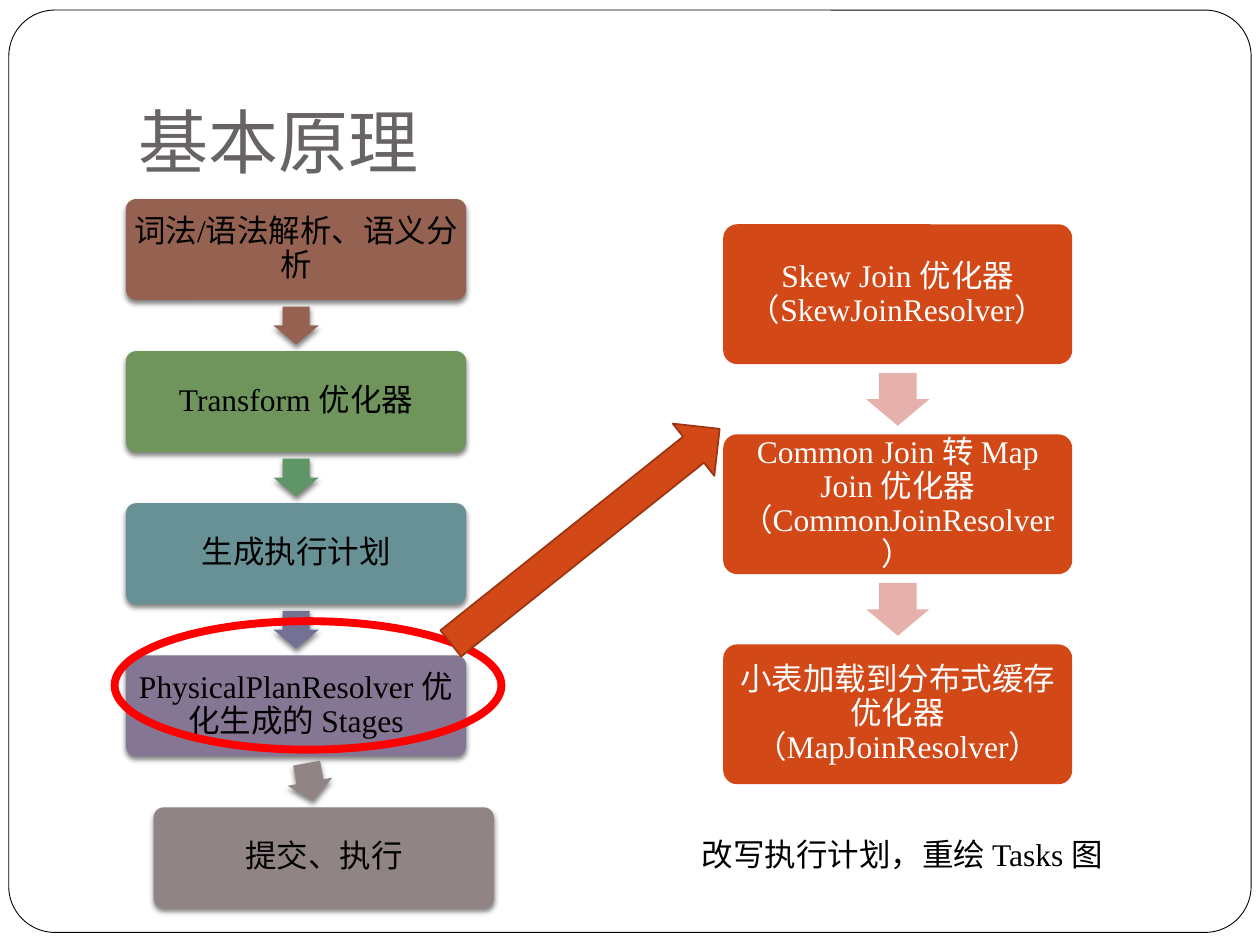
from math import atan2, degrees

from lxml import etree
from pptx import Presentation, util as u
from pptx.dml.color import RGBColor
from pptx.enum import shapes, text
from pptx.oxml.ns import qn

BLACK = RGBColor(0, 0, 0)
WHITE = RGBColor(255, 255, 255)
GRAY = RGBColor(0x69, 0x64, 0x64)
RED = RGBColor(255, 0, 0)
ORANGE = RGBColor(0xD3, 0x48, 0x17)
RUST = RGBColor(0x9C, 0x35, 0x11)
PINK = RGBColor(0xE6, 0xB1, 0xAC)
BROWN = RGBColor(0x95, 0x62, 0x51)
GREEN = RGBColor(0x6F, 0x95, 0x5C)
JADE = RGBColor(0x60, 0x95, 0x68)
TEAL = RGBColor(0x68, 0x91, 0x95)
SLATE = RGBColor(0x73, 0x72, 0x94)
PLUM = RGBColor(0x85, 0x76, 0x93)
TAUPE = RGBColor(0x91, 0x84, 0x85)

SERIF = "Times New Roman"
TITLE = "基本原理"
NOTE = "改写执行计划，重绘 Tasks 图"

# Each step: text, left edge, box colour, colour of the arrow leading to it
STAGES = [
    ("词法/语法解析、语义分析", 1, BROWN, None),
    ("Transform 优化器", 1, GREEN, BROWN),
    ("生成执行计划", 1, TEAL, JADE),
    ("PhysicalPlanResolver 优化生成的 Stages", 1, PLUM, SLATE),
    ("提交、执行", 1.22, TAUPE, TAUPE),
]
JOINS = [
    ("Skew Join 优化器（SkewJoinResolver）", 5.74, ORANGE, None),
    ("Common Join 转 Map Join 优化器（CommonJoinResolver）", 5.74, ORANGE, PINK),
    ("小表加载到分布式缓存优化器（MapJoinResolver）", 5.74, ORANGE, PINK),
]

KIND = shapes.MSO_SHAPE
deck = Presentation()
deck.slide_width, deck.slide_height = u.Inches(10), u.Inches(7.5)
slide = deck.slides.add_slide(deck.slide_layouts[6])


def draw(kind, box, fill=None, line=None, width=1, adj=(), turn=0):
    item = slide.shapes.add_shape(kind, *map(u.Inches, box))
    item.shadow.inherit = False
    item.rotation = turn
    for i, value in enumerate(adj):
        item.adjustments[i] = value
    if fill is None:
        item.fill.background()
    else:
        item.fill.solid()
        item.fill.fore_color.rgb = fill
    if line is None:
        item.line.fill.background()
    else:
        item.line.color.rgb = line
        item.line.width = u.Pt(width)
    return item


def shade(item):
    """Give a shape a soft shadow straight below it."""
    fx = item._element.spPr.find(qn("a:effectLst"))
    cast = etree.SubElement(fx, qn("a:outerShdw"), blurRad=str(u.Pt(3)),
                            dist=str(u.Pt(2)), dir="5400000", rotWithShape="0")
    tint = etree.SubElement(cast, qn("a:srgbClr"), val="000000")
    etree.SubElement(tint, qn("a:alpha"), val="50000")


def write(item, words, color, size=18, font=SERIF):
    frame = item.text_frame
    frame.word_wrap = True
    frame.text = words
    style = frame.paragraphs[0].runs[0].font
    style.name, style.size, style.color.rgb = font, u.Pt(size), color
    return frame


def label(box, *args):
    return write(slide.shapes.add_textbox(*map(u.Inches, box)), *args)


def flow(steps, top, wide, high, pitch, arrow, ink, shadow):
    """Stack boxes downwards, with an arrow centred in each gap."""
    last = None
    for row, (words, left, fill, tip) in enumerate(steps):
        y = top + row * pitch
        parts = [draw(KIND.ROUNDED_RECTANGLE, (left, y, wide, high), fill, adj=[0.1])]
        frame = write(parts[0], words, ink)
        frame.margin_left = frame.margin_right = u.Inches(0.04)
        frame.margin_top = frame.margin_bottom = u.Inches(0.04)
        frame.vertical_anchor = text.MSO_ANCHOR.MIDDLE
        frame.paragraphs[0].alignment = text.PP_ALIGN.CENTER
        frame.paragraphs[0].line_spacing = 0.9
        if tip is not None:
            w, h = arrow
            x = (last + left + wide) / 2
            mid = y - (pitch - high) / 2
            parts.append(draw(KIND.RIGHT_ARROW, (x - w / 2, mid - h / 2, w, h), tip,
                              adj=(0.6, 0.5), turn=degrees(atan2(pitch, left - last))))
        if shadow:
            for part in parts:
                shade(part)
        last = left


draw(KIND.ROUNDED_RECTANGLE, (0.07, 0.08, 9.86, 7.32), WHITE, BLACK, 0.5, [0.05])
head = label((1, 0.3, 8.5, 1.25), TITLE, GRAY, 40, "Lato")
head.vertical_anchor = text.MSO_ANCHOR.BOTTOM
head.margin_bottom = u.Inches(0.1)

flow(STAGES, 1.58, 2.7, 0.8, 1.207, (0.3, 0.36), BLACK, True)
draw(KIND.OVAL, (0.91, 4.93, 3.07, 1.02), line=RED, width=4.5)
draw(KIND.RIGHT_ARROW, (3.28, 3.99, 2.73, 0.53), ORANGE, RUST, turn=321.4)
flow(JOINS, 1.78, 2.77, 1.11, 1.667, (0.42, 0.5), WHITE, False)
label((5.47, 6.58, 3.7, 0.4), NOTE, BLACK)

deck.save("out.pptx")
